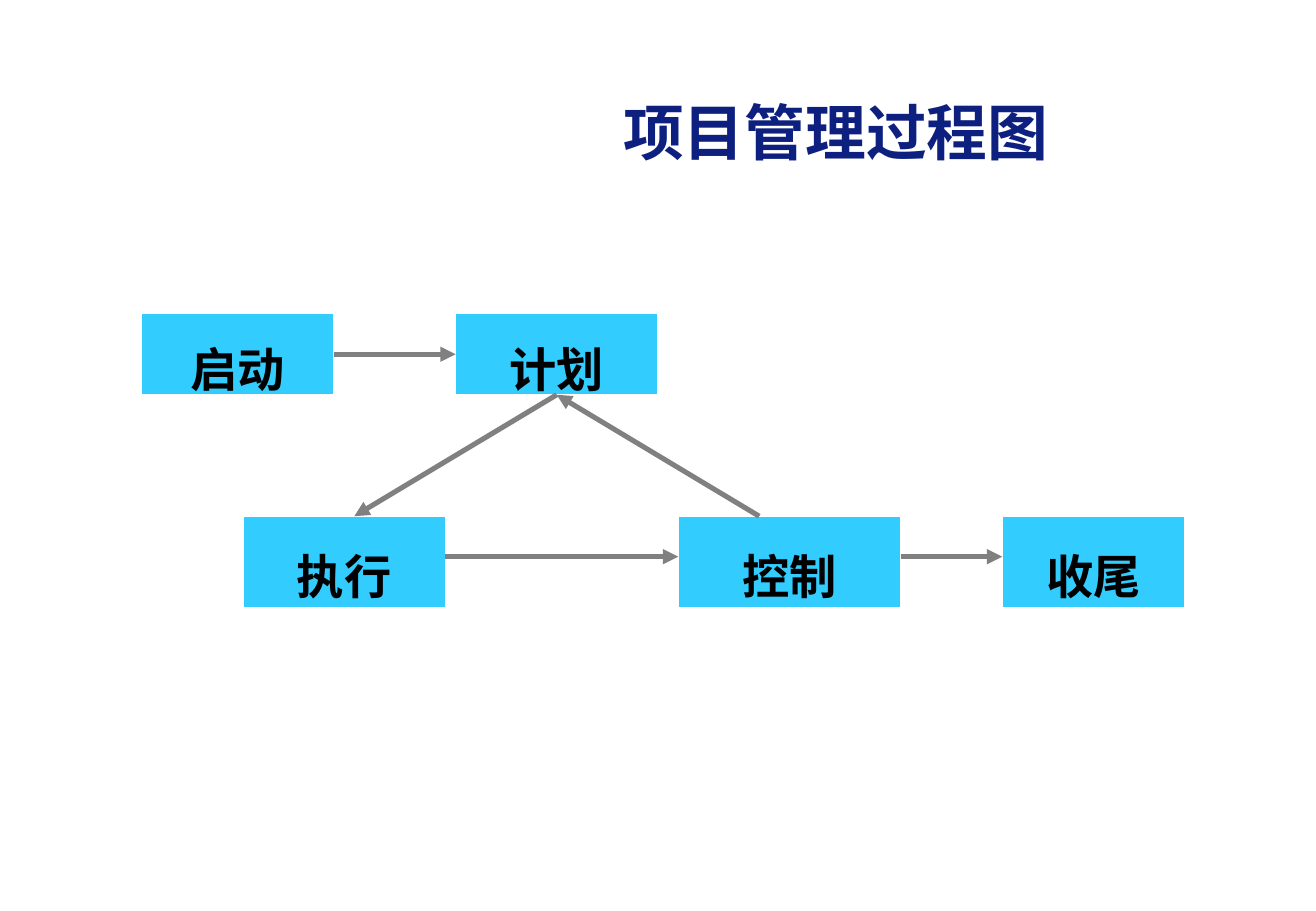
from lxml.etree import SubElement
from pptx import Presentation
from pptx.dml.color import RGBColor
from pptx.enum.shapes import MSO_CONNECTOR, MSO_SHAPE
from pptx.enum.text import MSO_ANCHOR, PP_ALIGN
from pptx.oxml.ns import qn
from pptx.util import Inches, Pt

NAVY = RGBColor(0x0E, 0x20, 0x7F)
CYAN = RGBColor(0x33, 0xCC, 0xFF)
GRAY = RGBColor(0x80, 0x80, 0x80)
WHITE = RGBColor(0xFF, 0xFF, 0xFF)
BLACK = RGBColor(0x00, 0x00, 0x00)
CJK_FONT = "Noto Sans CJK SC"
CELL = Inches(1) // 12
COLUMNS, ROWS = 130, 90
BOTTOM, LEFT, RIGHT = 2, 1, 3

STEPS = {
    "启动": (14, 31, 19, 8),
    "计划": (45, 31, 20, 8),
    "执行": (24, 51, 20, 9),
    "控制": (67, 51, 22, 9),
    "收尾": (99, 51, 18, 9),
}
FLOWS = [
    ((33, 35), (45, 35), ("启动", RIGHT), ("计划", LEFT)),
    ((55, 39), (35, 51), ("计划", BOTTOM), None),
    ((44, 55), (67, 55), None, None),
    ((75, 51), (55, 39), None, ("计划", BOTTOM)),
    ((89, 55), (99, 55), None, None),
]


def grid(*cells):
    """Turn grid counts into slide lengths."""
    return [cell * CELL for cell in cells]


def write(paragraph, text, size, color, latin):
    """Add one bold run with its Latin and East Asian fonts."""
    run = paragraph.add_run()
    run.text = text
    run.font.size = Pt(size)
    run.font.bold = True
    run.font.color.rgb = color
    run.font.name = latin
    SubElement(run.font._element, qn("a:ea"), typeface=CJK_FONT)


def add_title(slide, box, text):
    """Place the right-aligned heading in its box."""
    frame = slide.shapes.add_textbox(*grid(*box)).text_frame
    frame.word_wrap = True
    frame.vertical_anchor = MSO_ANCHOR.MIDDLE
    frame.margin_left = frame.margin_right = Inches(0.12)
    frame.margin_top = frame.margin_bottom = Inches(0.06)
    heading = frame.paragraphs[0]
    heading.alignment = PP_ALIGN.RIGHT
    write(heading, text, 36, NAVY, CJK_FONT)


def add_step(slide, box, text):
    """Draw one process step and return its rectangle."""
    step = slide.shapes.add_shape(MSO_SHAPE.RECTANGLE, *grid(*box))
    step.shadow.inherit = False
    step.fill.solid()
    step.fill.fore_color.rgb = CYAN
    step.line.color.rgb = WHITE
    step.line.width = Pt(0.75)
    frame = step.text_frame
    frame.word_wrap = False
    frame.vertical_anchor = MSO_ANCHOR.MIDDLE
    label = frame.paragraphs[0]
    label.alignment = PP_ALIGN.CENTER
    label.line_spacing = 1.5
    write(label, text, 28, BLACK, "Arial")
    return step


def add_flow(slide, steps, start, end, source, target):
    """Draw an arrow and join the ends that meet a side's middle."""
    flow = slide.shapes.add_connector(
        MSO_CONNECTOR.STRAIGHT, *grid(*start, *end))
    if source:
        flow.begin_connect(steps[source[0]], source[1])
    if target:
        flow.end_connect(steps[target[0]], target[1])
    flow.line.color.rgb = GRAY
    flow.line.width = Pt(3)
    SubElement(flow.line._get_or_add_ln(), qn("a:tailEnd"), type="triangle")
    SubElement(flow._element.spPr, qn("a:effectLst"))


def add_process(slide):
    """Draw the process steps and the flows between them."""
    steps = {text: add_step(slide, box, text) for text, box in STEPS.items()}
    for flow in FLOWS:
        add_flow(slide, steps, *flow)


def main():
    """Build and save the process slide."""
    deck = Presentation()
    deck.slide_width, deck.slide_height = grid(COLUMNS, ROWS)
    slide = deck.slides.add_slide(deck.slide_layouts[6])
    add_title(slide, (37, 8, 68, 10), "项目管理过程图")
    add_process(slide)
    deck.save("out.pptx")


if __name__ == "__main__":
    main()
